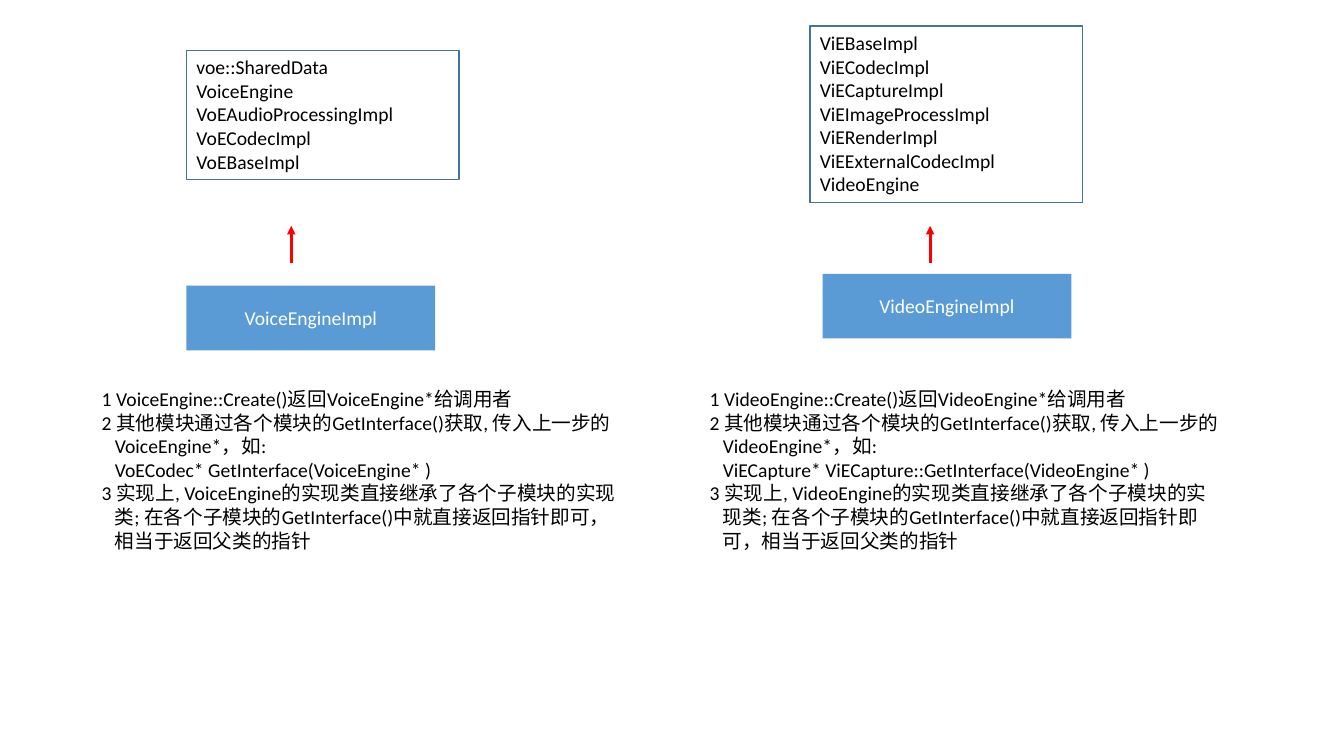
from lxml.etree import SubElement
from pptx import Presentation
from pptx.dml.color import RGBColor
from pptx.enum.shapes import MSO_CONNECTOR as Connector, MSO_SHAPE as Shape
from pptx.enum.text import MSO_ANCHOR as Anchor, MSO_AUTO_SIZE as AutoSize, PP_ALIGN as Align
from pptx.oxml.ns import qn
from pptx.util import Cm, Pt


def colour(value):
    return RGBColor.from_string(value)


def write(paragraph, text, font="Calibri", size=14, ink="000000", align=Align.LEFT, indent=0):
    run = paragraph.add_run()
    run.text = text
    run.font.name = font
    run.font.size = Pt(size)
    run.font.color.rgb = colour(ink)
    paragraph.alignment = align
    paragraph.space_before = Pt(0)
    properties = paragraph._p.get_or_add_pPr()
    properties.set("marL", str(Cm(indent)))
    properties.set("indent", "0")
    SubElement(properties, qn("a:buNone"))


class EngineSlide:
    blue, outline, red, white = "5B9BD5", "43739E", "FF0000", "FFFFFF"
    hanging = 0.33

    def __init__(self, deck):
        self.slide = deck.slides.add_slide(deck.slide_layouts.get_by_name("Two Content"))
        heading = self.slide.shapes.title._element
        heading.getparent().remove(heading)

    def lines(self, frame, texts, **style):
        frame.word_wrap = True
        for number, text in enumerate(texts):
            paragraph = frame.paragraphs[0] if number == 0 else frame.add_paragraph()
            continued = style.get("numbered") and not text[0].isdigit()
            write(paragraph, text, ink=style.get("ink", "000000"),
                  align=style.get("align", Align.LEFT),
                  indent=self.hanging if continued else 0)

    def rectangle(self, left, top, width, height):
        box = self.slide.shapes.add_shape(
            Shape.RECTANGLE, Cm(left), Cm(top), Cm(width), Cm(height))
        box.shadow.inherit = False
        return box

    def implementation(self, left, top, name):
        box = self.rectangle(left, top, 6.27, 1.63)
        box.fill.solid()
        box.fill.fore_color.rgb = colour(self.blue)
        box.line.fill.background()
        box.text_frame.vertical_anchor = Anchor.MIDDLE
        self.lines(box.text_frame, [name], ink=self.white, align=Align.CENTER)

    def parents(self, left, top, height, names):
        box = self.rectangle(left, top, 6.87, height)
        box.fill.background()
        box.line.color.rgb = colour(self.outline)
        box.line.width = Pt(1)
        box.text_frame.vertical_anchor = Anchor.TOP
        self.lines(box.text_frame, names)

    def inherits(self, x):
        arrow = self.slide.shapes.add_connector(
            Connector.STRAIGHT, Cm(x), Cm(5.69), Cm(x), Cm(6.63))
        arrow.line.color.rgb = colour(self.red)
        arrow.line.width = Pt(2)
        SubElement(arrow.line._get_or_add_ln(), qn("a:headEnd"), type="triangle")
        SubElement(arrow._element.spPr, qn("a:effectLst"))

    def steps(self, index, left, texts):
        body = self.slide.placeholders[index]
        body.left, body.top, body.width, body.height = Cm(left), Cm(9.63), Cm(14.17), Cm(4.45)
        body.text_frame.auto_size = AutoSize.NONE
        body.text_frame.vertical_anchor = Anchor.TOP
        self.lines(body.text_frame, texts, numbered=True)


def main():
    deck = Presentation()
    deck.slide_width, deck.slide_height = Cm(33.87), Cm(19.05)
    page = EngineSlide(deck)

    page.implementation(4.7, 7.2, "VoiceEngineImpl")
    page.inherits(7.34)
    page.parents(4.7, 1.27, 3.25, [
        "voe::SharedData", "VoiceEngine", "VoEAudioProcessingImpl",
        "VoECodecImpl", "VoEBaseImpl"])
    page.steps(1, 2.31, [
        "1 VoiceEngine::Create()返回VoiceEngine*给调用者",
        "2 其他模块通过各个模块的GetInterface()获取, 传入上一步的",
        "VoiceEngine*，如:",
        "VoECodec* GetInterface(VoiceEngine* )",
        "3 实现上, VoiceEngine的实现类直接继承了各个子模块的实现",
        "类; 在各个子模块的GetInterface()中就直接返回指针即可，",
        "相当于返回父类的指针"])

    page.implementation(20.73, 6.9, "VideoEngineImpl")
    page.inherits(23.44)
    page.parents(20.41, 0.66, 4.45, [
        "ViEBaseImpl", "ViECodecImpl", "ViECaptureImpl", "ViEImageProcessImpl",
        "ViERenderImpl", "ViEExternalCodecImpl", "VideoEngine"])
    page.steps(2, 17.63, [
        "1 VideoEngine::Create()返回VideoEngine*给调用者",
        "2 其他模块通过各个模块的GetInterface()获取, 传入上一步的",
        "VideoEngine*，如:",
        "ViECapture* ViECapture::GetInterface(VideoEngine* )",
        "3 实现上, VideoEngine的实现类直接继承了各个子模块的实",
        "现类; 在各个子模块的GetInterface()中就直接返回指针即",
        "可，相当于返回父类的指针"])

    deck.save("out.pptx")


if __name__ == "__main__":
    main()
